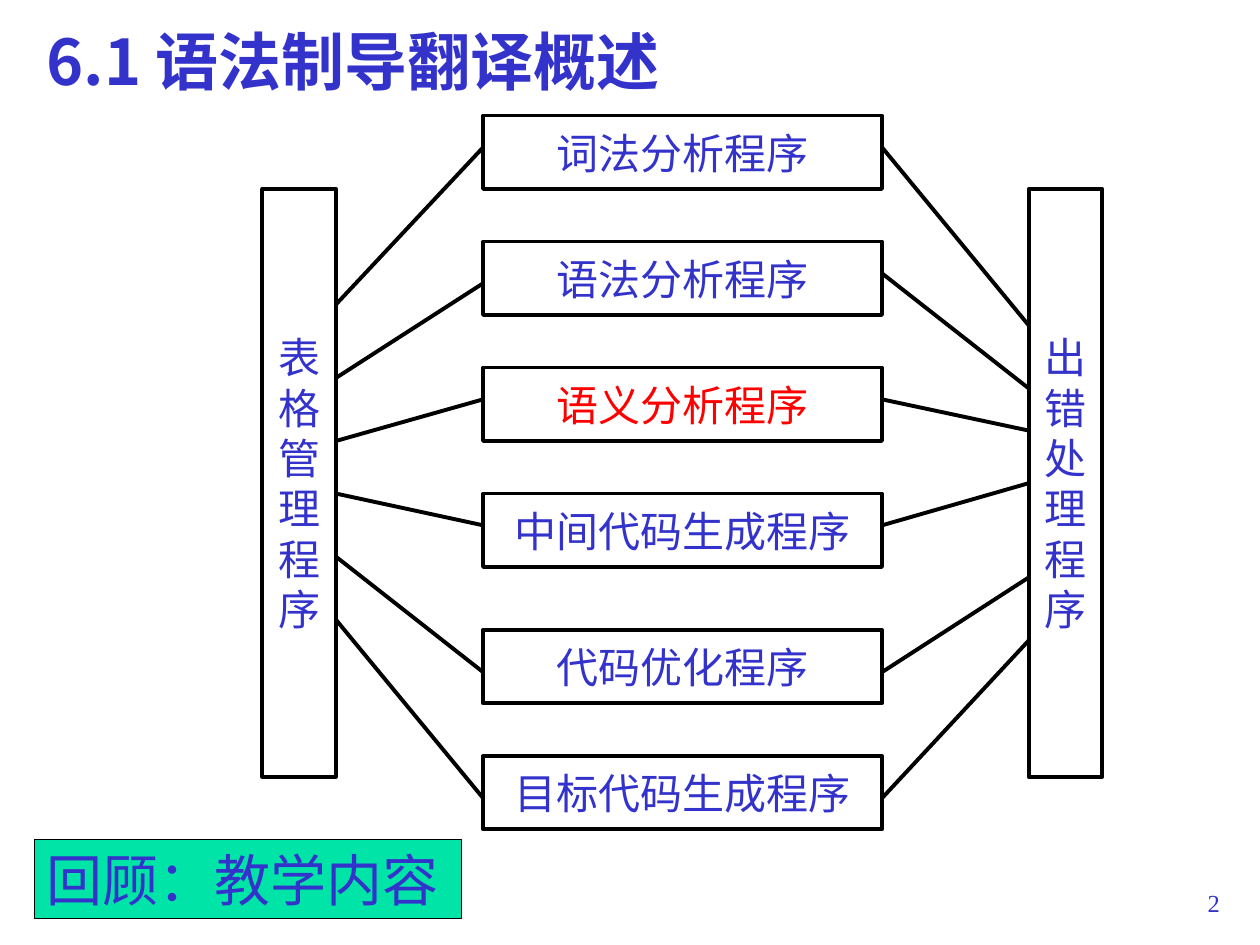
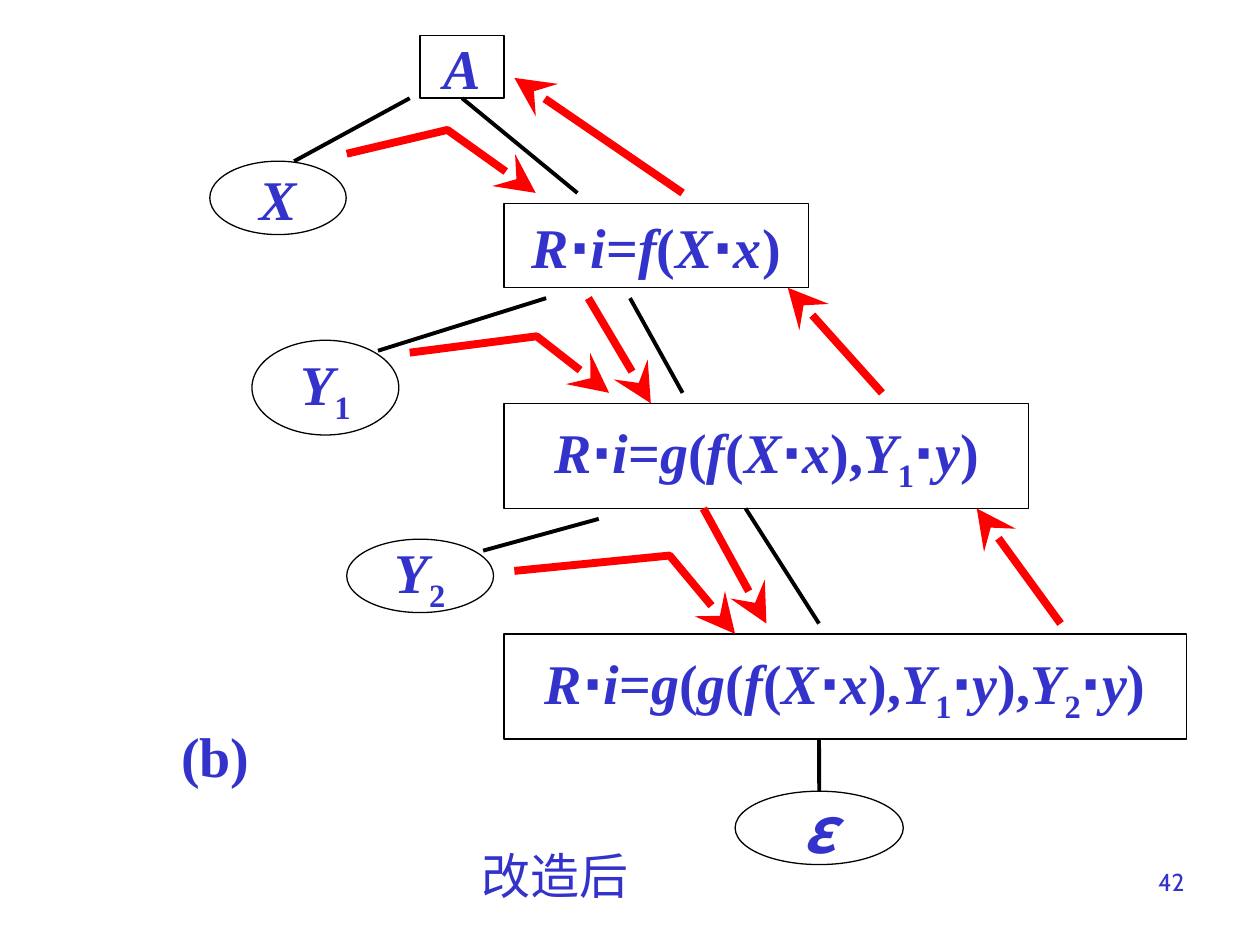
from dataclasses import dataclass
from itertools import groupby

from lxml import etree
from pptx import Presentation
from pptx.dml.color import RGBColor
from pptx.enum.shapes import MSO_CONNECTOR, MSO_SHAPE
from pptx.enum.text import MSO_ANCHOR, PP_ALIGN
from pptx.oxml.ns import qn
from pptx.util import Cm, Pt

RECT, OVAL = MSO_SHAPE.RECTANGLE, MSO_SHAPE.OVAL
STRAIGHT = MSO_CONNECTOR.STRAIGHT
LEFT, CENTER, RIGHT = PP_ALIGN.LEFT, PP_ALIGN.CENTER, PP_ALIGN.RIGHT
TOP, MIDDLE, BOTTOM = MSO_ANCHOR.TOP, MSO_ANCHOR.MIDDLE, MSO_ANCHOR.BOTTOM
SIDE_TOP, SIDE_BOTTOM = 0, 2


@dataclass(frozen=True)
class Style:
    size: float
    font: str
    bold: bool = False
    italic: bool = False


class Theme:
    ink = RGBColor(0x33, 0x33, 0xCC)
    red = RGBColor(0xFF, 0x00, 0x00)
    black = RGBColor(0x00, 0x00, 0x00)
    white = RGBColor(0xFF, 0xFF, 0xFF)
    green = RGBColor(0x00, 0xE4, 0xA8)
    thin, medium, thick = 0.75, 2.25, 4.5
    cjk, serif, symbol = "Noto Sans CJK JP", "Times New Roman", "Arial"
    title = Style(36, cjk, bold=True)
    review = Style(32, cjk)
    caption = Style(28, cjk)
    box = Style(24, cjk)
    formula = Style(32, serif, bold=True)
    epsilon = Style(36, "Noto Sans CJK SC", bold=True, italic=True)
    number = Style(14, serif)
    number_alt = Style(14, "Cabin")


TITLE = "6.1 语法制导翻译概述"
REVIEW = "回顾：教学内容"
BOX_LEFT, BOX_WIDTH, BOX_HEIGHT = 9.74, 8.04, 1.48
BAR_TOP, BAR_WIDTH, BAR_HEIGHT = 3.81, 1.48, 11.85
TABLE_BAR, ERROR_BAR = ("表格管理程序", 5.29), ("出错处理程序", 20.74)
# name, top, colour, then y at table bar, box left, box right, error bar
PHASES = [
    ("词法分析程序", 2.33, Theme.ink, (6.14, 2.97, 2.97, 6.56)),
    ("语法分析程序", 4.87, Theme.ink, (7.62, 5.71, 5.51, 7.83)),
    ("语义分析程序", 7.41, Theme.red, (8.89, 8.05, 8.05, 8.68)),
    ("中间代码生成程序", 9.95, Theme.ink, (9.95, 10.59, 10.59, 9.74)),
    ("代码优化程序", 12.7, Theme.ink, (11.22, 13.55, 13.55, 11.64)),
    ("目标代码生成程序", 15.24, Theme.ink, (12.49, 16.09, 16.09, 12.91)),
]

NODES = [
    ("A", RECT, (8.47, 0.71, 1.69, 1.27)),
    ("R⋅i=f(X⋅x)", RECT, (10.16, 4.11, 6.14, 1.69)),
    ("R⋅i=g(f(X⋅x),Y1⋅y)", RECT, (10.16, 8.13, 10.58, 2.12)),
    ("R⋅i=g(g(f(X⋅x),Y1⋅y),Y2⋅y)", RECT, (10.16, 12.78, 13.76, 2.12)),
    ("X", OVAL, (4.23, 3.25, 2.75, 1.48)),
    ("Y1", OVAL, (5.08, 6.86, 2.96, 1.91)),
    ("Y2", OVAL, (6.99, 10.87, 2.96, 1.48)),
    ("ε", OVAL, (14.82, 15.95, 3.39, 1.48)),
]
BRANCHES = [
    ((8.26, 1.98), (5.93, 3.25)),
    ((11.01, 6.01), (7.62, 7.07)),
    ((12.7, 6.01), (13.76, 7.92)),
    ((12.07, 10.46), (9.74, 11.1)),
    ((15.03, 10.25), (16.51, 12.57)),
]
ROOT_BRANCH = ((9.32, 1.98), (11.64, 3.89))
EPSILON_BRANCH = ((16.51, 14.9), (16.51, 15.95))
FLOWS = [
    ((11.86, 6.01), (13.12, 8.13)),
    ((14.18, 10.25), (15.45, 12.57)),
    ((21.38, 12.57), (19.69, 10.25)),
    ((17.78, 7.92), (15.88, 5.8)),
    ((13.76, 3.89), (10.37, 1.57)),
]
BENT_FLOWS = [
    ((6.99, 3.1), (9.02, 2.62), (10.8, 3.89)),
    ((8.26, 7.11), (10.82, 6.78), (12.28, 7.92)),
    ((10.37, 11.51), (13.5, 11.2), (14.82, 12.78)),
]


def cm(values):
    return [Cm(v) for v in values]


def set_east_asian(props, font):
    etree.SubElement(props, qn("a:ea")).set("typeface", font)


def style_paragraph(p, style, color, align):
    p.alignment = align
    f = p.font
    f.size, f.name, f.bold = Pt(style.size), style.font, style.bold
    f.italic = style.italic
    f.color.rgb = color
    set_east_asian(p._p.pPr.find(qn("a:defRPr")), style.font)


def write(sp, lines, style, color=Theme.ink, align=CENTER, anchor=MIDDLE, wrap=False):
    tf = sp.text_frame
    tf.word_wrap, tf.vertical_anchor = wrap, anchor
    tf.text = "\n".join(lines)
    for p in tf.paragraphs:
        style_paragraph(p, style, color, align)


def char_role(ch):
    if ch == "⋅":
        return "dot"
    if ch.isdigit():
        return "subscript"
    return "variable" if ch.isalpha() else "sign"


def write_formula(sp, formula):
    tf = sp.text_frame
    tf.word_wrap, tf.vertical_anchor = False, MIDDLE
    p = tf.paragraphs[0]
    style_paragraph(p, Theme.formula, Theme.ink, CENTER)
    for role, chars in groupby(formula, char_role):
        r = p.add_run()
        r.text = "".join(chars)
        if role == "variable":
            r.font.italic = True
        elif role == "dot":
            r.font.name = Theme.symbol
            set_east_asian(r._r.rPr, Theme.symbol)
        elif role == "subscript":
            r.font._element.set("baseline", "-25000")


def add_box(slide, kind, place, weight, fill=None):
    sp = slide.shapes.add_shape(kind, *cm(place))
    sp.shadow.inherit = False
    if fill is None:
        sp.fill.background()
    else:
        sp.fill.solid()
        sp.fill.fore_color.rgb = fill
    sp.line.color.rgb, sp.line.width = Theme.black, Pt(weight)
    return sp


def add_label(slide, place, text, style, align, anchor):
    sp = slide.shapes.add_textbox(*cm(place))
    write(sp, [text], style, align=align, anchor=anchor, wrap=True)


def add_arrowhead(sp):
    ln = sp.line._get_or_add_ln()
    etree.SubElement(ln, qn("a:tailEnd"), type="stealth", w="lg", len="lg")


def add_line(slide, start, end, color=Theme.black, weight=Theme.medium):
    line = slide.shapes.add_connector(STRAIGHT, *cm(start + end))
    line.line.color.rgb, line.line.width = color, Pt(weight)
    etree.SubElement(line._element.spPr, qn("a:effectLst"))
    return line


def add_bent_flow(slide, points):
    start, *rest = [cm(point) for point in points]
    builder = slide.shapes.build_freeform(*start, scale=1.0)
    builder.add_line_segments(rest, close=False)
    sp = builder.convert_to_shape()
    sp.shadow.inherit = False
    sp.fill.background()
    sp.line.color.rgb, sp.line.width = Theme.red, Pt(Theme.thick)
    add_arrowhead(sp)


def build_overview(slide):
    for name, left in (TABLE_BAR, ERROR_BAR):
        place = (left, BAR_TOP, BAR_WIDTH, BAR_HEIGHT)
        write(add_box(slide, RECT, place, Theme.medium, Theme.white), name, Theme.box)
    table_edge, error_edge = TABLE_BAR[1] + BAR_WIDTH, ERROR_BAR[1]
    for name, top, color, (table_y, left_y, right_y, error_y) in PHASES:
        place = (BOX_LEFT, top, BOX_WIDTH, BOX_HEIGHT)
        sp = add_box(slide, RECT, place, Theme.medium, Theme.white)
        write(sp, [name], Theme.box, color)
        add_line(slide, (BOX_LEFT, left_y), (table_edge, table_y))
        add_line(slide, (error_edge, error_y), (BOX_LEFT + BOX_WIDTH, right_y))
    add_label(slide, (19.56, 17.35, 5.28, 1.27), "2", Theme.number, RIGHT, BOTTOM)
    sp = add_box(slide, RECT, (0.69, 16.92, 8.61, 1.6), Theme.thin, Theme.green)
    write(sp, [REVIEW], Theme.review, align=LEFT)
    add_label(slide, (0.69, 0.33, 14.61, 1.78), TITLE, Theme.title, LEFT, TOP)


def build_tree(slide):
    nodes = {}
    for text, kind, place in NODES:
        sp = nodes[text] = add_box(slide, kind, place, Theme.thin)
        if text == "ε":
            write(sp, [text], Theme.epsilon)
        else:
            write_formula(sp, text)
    for start, end in BRANCHES:
        add_line(slide, start, end)
    add_line(slide, *ROOT_BRANCH).begin_connect(nodes["A"], SIDE_BOTTOM)
    add_line(slide, *EPSILON_BRANCH).end_connect(nodes["ε"], SIDE_TOP)
    for start, end in FLOWS:
        add_arrowhead(add_line(slide, start, end, Theme.red, Theme.thick))
    for points in BENT_FLOWS:
        add_bent_flow(slide, points)
    add_label(slide, (3.04, 14.4, 2.6, 1.63), "(b)", Theme.formula, CENTER, MIDDLE)
    add_label(slide, (9.09, 16.92, 4.19, 1.45), "改造后", Theme.caption, CENTER, TOP)
    add_label(slide, (18.21, 17.35, 5.92, 1.32), "42", Theme.number_alt, RIGHT, TOP)


def main():
    prs = Presentation()
    prs.slide_width, prs.slide_height = Cm(25.4), Cm(19.05)
    blank = prs.slide_layouts[6]
    for build in (build_overview, build_tree):
        build(prs.slides.add_slide(blank))
    prs.save("out.pptx")


if __name__ == "__main__":
    main()
